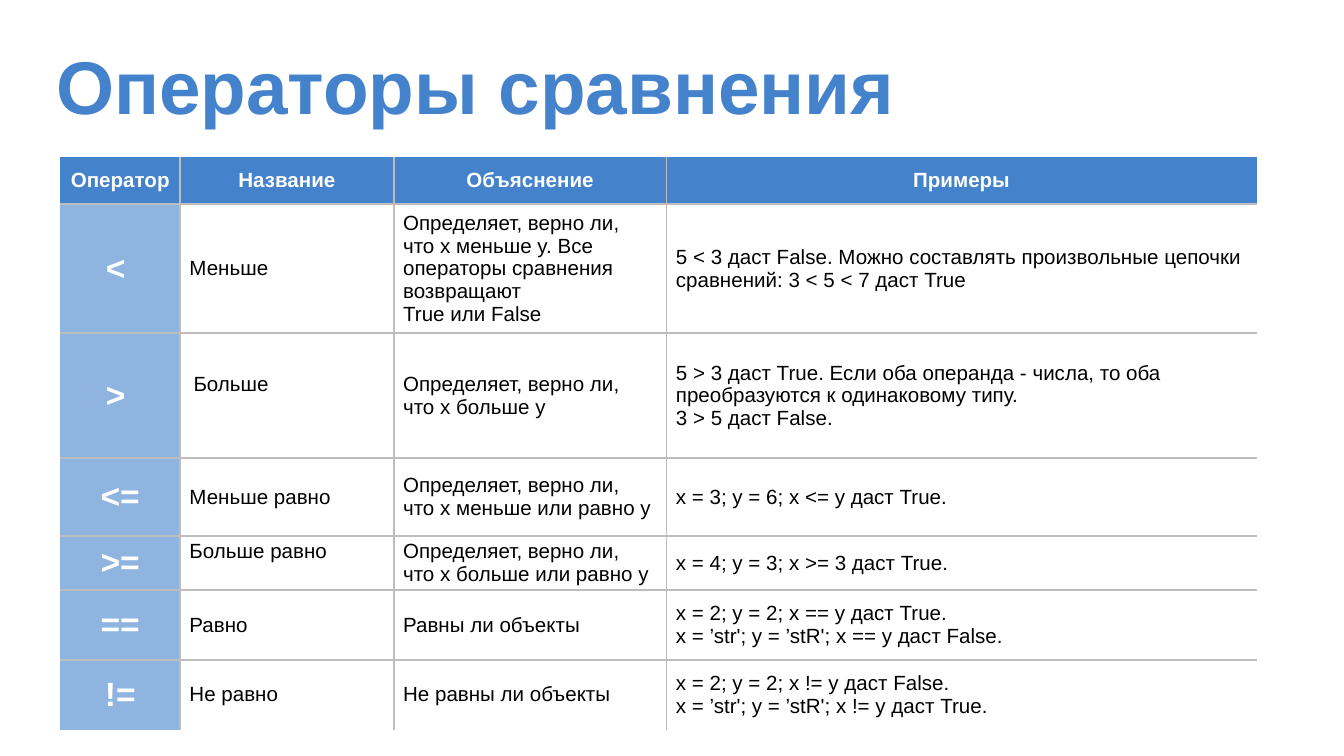
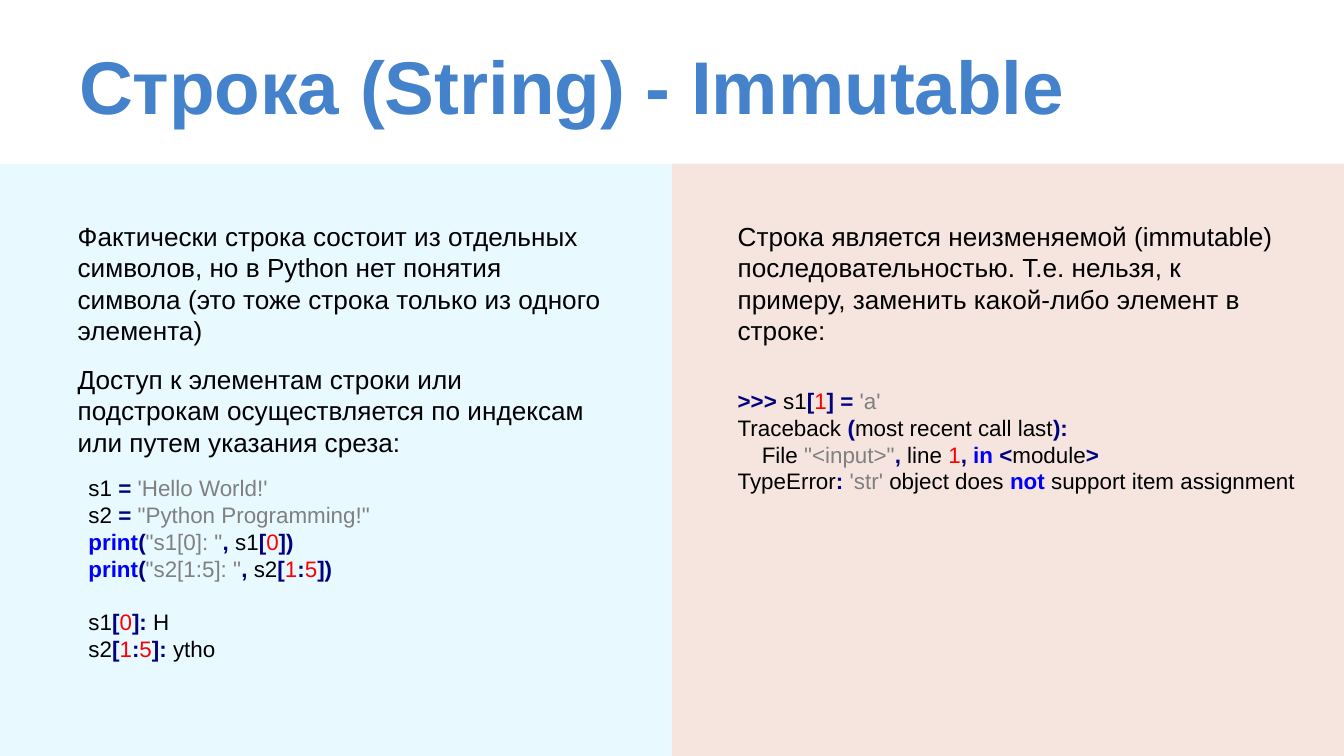
from lxml.etree import SubElement
from pptx import Presentation
from pptx.dml.color import RGBColor
from pptx.enum.shapes import MSO_SHAPE
from pptx.enum.text import MSO_ANCHOR, PP_ALIGN
from pptx.oxml.ns import qn
from pptx.util import Inches, Pt

COLORS = {
    "white": "FFFFFF",
    "black": "000000",
    "accent": "4482CC",
    "operator": "8FB4E0",
    "border": "BDBDBD",
    "sky": "E8F9FF",
    "peach": "F5E5DE",
    "mark": "000080",
    "keyword": "0000FF",
    "string": "808080",
    "number": "FF0000",
}
BOLD_ROLES = {"mark", "keyword"}
FONT = "Arial"
SLIDE_WIDTH = 10
SLIDE_HEIGHT = SLIDE_WIDTH * 9 / 16
PANEL_TOP = 1.22

COLUMN_WIDTHS = [0.89, 1.59, 2.03, 4.39]
ROW_HEIGHTS = [0.35, 0.96, 0.93, 0.58, 0.4, 0.52, 0.52]
# A tilde ties words together with a no-break space.
OPERATOR_ROWS = [
    ["Оператор", "Название", "Объяснение", "Примеры"],
    ["<~", "Меньше",
     "Определяет, верно ли, что~x~меньше~y. Все операторы сравнения возвращают True~или~False",
     "5~<~3~даст~False. Можно составлять произвольные цепочки сравнений:~3~<~5~<~7~даст~True"],
    [">~", "Больше", "Определяет, верно ли, что~x~больше~y",
     ["5~>~3~даст~True. Если оба операнда - числа, то оба преобразуются к одинаковому типу.",
      "3 > 5 даст~False."]],
    ["<=", "Меньше равно", "Определяет, верно ли, что~x~меньше или равно~y",
     "x~=~3;~y~=~6;~x~<=~y~даст~True."],
    [">=", "Больше равно", "Определяет, верно ли, что~x~больше или равно~y",
     "x~=~4;~y~=~3;~x~>=~3~даст~True."],
    ["==", "Равно", "Равны ли объекты",
     ["x~=~2;~y~=~2;~x~==~y~даст~True.", "x~=~’str';~y~=~’stR';~x~==~y~даст~False."]],
    ["!=", "Не равно", "Не равны ли объекты",
     ["x~=~2;~y~=~2;~x~!=~y~даст~False.", "x~=~’str';~y~=~’stR';~x~!=~y~даст~True."]],
]
# Left and bottom insets of the names that stand off from the rest of their column.
NAME_INSETS = {"Больше": (0.1, 0.17), "Больше равно": (0.07, 0.17)}

STRING_PROSE = [
    "Фактически строка состоит из отдельных символов, но в Python нет понятия символа "
    "(это тоже строка только из одного элемента)",
    "Доступ к элементам строки или подстрокам осуществляется по индексам или путем указания среза:",
]
IMMUTABLE_PROSE = [
    "Строка является неизменяемой (immutable) последовательностью. Т.е. нельзя, к примеру, "
    "заменить какой-либо элемент в строке:",
]


def mark(text):
    return text, "mark"


def keyword(text):
    return text, "keyword"


def string(text):
    return text, "string"


def number(text):
    return text, "number"


INDEX = [mark("["), number("0")]
SLICE = [mark("["), number("1"), mark(":"), number("5")]
SLICE_CODE = [
    ["s1 ", mark("= "), string("'Hello World!'")],
    ["s2 ", mark("= "), string('"Python Programming!"')],
    [keyword("print"), mark("("), string('"s1[0]: "'), mark(","), " s1", *INDEX, mark("])")],
    [keyword("print"), mark("("), string('"s2[1:5]: "'), mark(","), " s2", *SLICE, mark("])")],
]
SLICE_OUTPUT = [
    ["s1", *INDEX, mark("]:"), " H"],
    ["s2", *SLICE, mark("]:"), " ytho"],
]
ERROR_CODE = [
    [mark(">>>"), " s1", mark("["), number("1"), mark("] = "), string("'a'")],
    ["Traceback ", mark("("), "most recent call last", mark("):")],
    ["File ", string('"<input>"'), mark(","), " line ", number("1"), mark(", "),
     keyword("in "), mark("<"), "module", mark(">")],
    ["TypeError", mark(": "), string("'str'"), " object does ", keyword("not"),
     " support item assignment"],
]


def color(name):
    return RGBColor.from_string(COLORS[name])


def write(text_frame, paragraphs, size=12, role="black", bold=False, align=PP_ALIGN.LEFT,
          gaps=None, indents=None):
    """Fill a frame; a paragraph is a string or a list of strings and (text, role) pairs.

    gaps and indents map a paragraph's index to points before it and inches left of it.
    """
    for index, runs in enumerate(paragraphs):
        paragraph = text_frame.paragraphs[0] if index == 0 else text_frame.add_paragraph()
        paragraph.alignment = align
        if gaps and index in gaps:
            paragraph.space_before = Pt(gaps[index])
        if indents and index in indents:
            properties = paragraph._p.get_or_add_pPr()
            properties.set("marL", str(Inches(indents[index])))
            properties.set("indent", "0")
        for part in [runs] if isinstance(runs, str) else runs:
            text, run_role = (part, role) if isinstance(part, str) else part
            run = paragraph.add_run()
            run.text = text
            run.font.name = FONT
            run.font.size = Pt(size)
            run.font.bold = bold or run_role in BOLD_ROLES
            run.font.color.rgb = color(run_role)


def add_text_box(slide, box, paragraphs, **text_format):
    text_frame = slide.shapes.add_textbox(*map(Inches, box)).text_frame
    text_frame.word_wrap = True
    write(text_frame, paragraphs, **text_format)
    return text_frame


def add_title(slide, text, left):
    text_frame = add_text_box(slide, (left, 0.2, 8.9, 0.76), [text],
                              size=40, role="accent", bold=True)
    text_frame.margin_top = text_frame.margin_bottom = Inches(0.1)


def set_borders(cell, sides):
    """Draw each side (L, R, T, B) whose value is true and clear the others."""
    properties = cell._tc.get_or_add_tcPr()
    for side, visible in sides.items():
        line = SubElement(properties, qn(f"a:ln{side}"), w=str(Pt(1)))
        if visible:
            fill = SubElement(line, qn("a:solidFill"))
            SubElement(fill, qn("a:srgbClr"), val=COLORS["border"])
        else:
            SubElement(line, qn("a:noFill"))


def fill_cell(cell, content, row, column):
    set_borders(cell, {"L": column > 0, "R": column < len(COLUMN_WIDTHS) - 1,
                       "T": row > 0, "B": row < len(ROW_HEIGHTS) - 1})
    heading = row == 0 or column == 0
    fill = "accent" if row == 0 else "operator" if column == 0 else "white"
    cell.fill.solid()
    cell.fill.fore_color.rgb = color(fill)
    paragraphs = [content] if isinstance(content, str) else content
    left, bottom = NAME_INSETS.get(paragraphs[0], (0.07, 0))
    cell.margin_left, cell.margin_right = Inches(left), Inches(0.07)
    cell.margin_top, cell.margin_bottom = 0, Inches(bottom)
    cell.vertical_anchor = MSO_ANCHOR.MIDDLE
    write(cell.text_frame, [text.replace("~", chr(160)) for text in paragraphs],
          size=18 if column == 0 and row > 0 else 11,
          role="white" if heading else "black", bold=heading,
          align=PP_ALIGN.CENTER if heading else PP_ALIGN.LEFT)


def add_operator_table(slide, left, top):
    table = slide.shapes.add_table(
        len(ROW_HEIGHTS), len(COLUMN_WIDTHS), Inches(left), Inches(top),
        Inches(sum(COLUMN_WIDTHS)), Inches(sum(ROW_HEIGHTS))).table
    table.horz_banding = False
    for column, width in zip(table.columns, COLUMN_WIDTHS):
        column.width = Inches(width)
    for row, height in zip(table.rows, ROW_HEIGHTS):
        row.height = Inches(height)
    for row, contents in enumerate(OPERATOR_ROWS):
        for column, content in enumerate(contents):
            fill_cell(table.cell(row, column), content, row, column)


def add_panel(slide, left, fill):
    box = (left, PANEL_TOP, SLIDE_WIDTH / 2, SLIDE_HEIGHT - PANEL_TOP)
    shape = slide.shapes.add_shape(MSO_SHAPE.RECTANGLE, *map(Inches, box))
    shape.shadow.inherit = False
    shape.fill.solid()
    shape.fill.fore_color.rgb = color(fill)
    shape.line.fill.background()


def add_prose(slide, box, paragraphs):
    add_text_box(slide, box, paragraphs, size=14, gaps={1: 9.3})


def add_code(slide, box, lines, **text_format):
    add_text_box(slide, box, lines, size=12, **text_format)


def add_string_panel(slide, left):
    add_panel(slide, left, "sky")
    add_prose(slide, (left + 0.48, PANEL_TOP + 0.37, 4.16, 1.9), STRING_PROSE)
    add_code(slide, (left + 0.56, PANEL_TOP + 2.26, 2.95, 1.55), SLICE_CODE + SLICE_OUTPUT,
             gaps={len(SLICE_CODE): 14.3})


def add_immutable_panel(slide, left):
    add_panel(slide, left, "peach")
    add_prose(slide, (left + 0.39, PANEL_TOP + 0.37, 4.22, 1.04), IMMUTABLE_PROSE)
    add_code(slide, (left + 0.39, PANEL_TOP + 1.61, 4.72, 0.91), ERROR_CODE, indents={2: 0.18})


def build_operators_slide(slide):
    add_title(slide, "Операторы сравнения", 0.32)
    add_operator_table(slide, 0.45, 1.17)


def build_string_slide(slide):
    add_immutable_panel(slide, SLIDE_WIDTH / 2)
    add_string_panel(slide, 0)
    add_title(slide, "Строка (String) - Immutable", 0.49)


def main():
    presentation = Presentation()
    presentation.slide_width = Inches(SLIDE_WIDTH)
    presentation.slide_height = Inches(SLIDE_HEIGHT)
    blank_layout = presentation.slide_layouts[6]
    for build in (build_operators_slide, build_string_slide):
        build(presentation.slides.add_slide(blank_layout))
    presentation.save("out.pptx")


if __name__ == "__main__":
    main()
